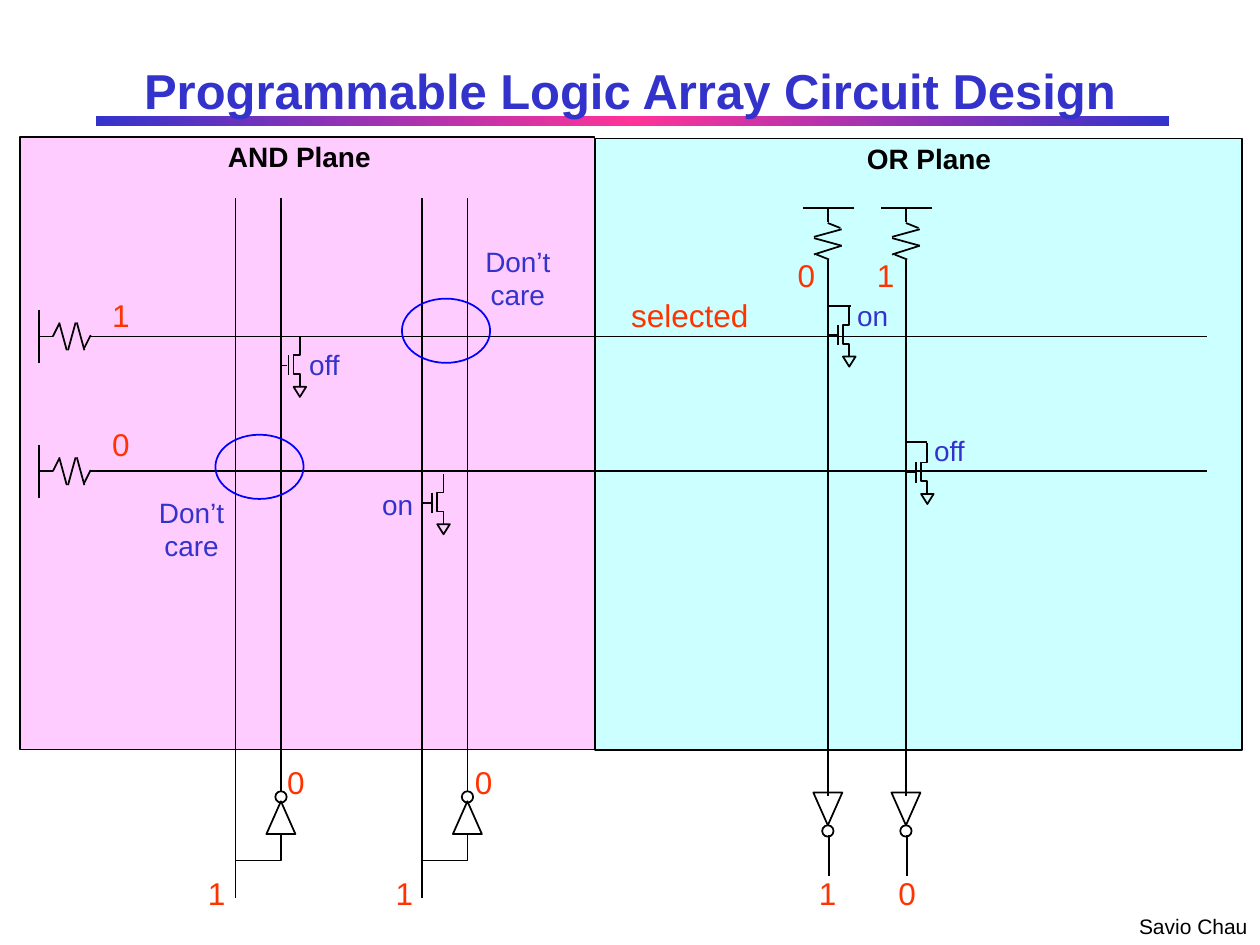
"""Build the programmable logic array circuit slide."""
import copy
import itertools

import lxml.etree
import pptx
import pptx.dml.color
import pptx.enum.shapes
import pptx.enum.text
import pptx.oxml.ns
import pptx.util

Inches = pptx.util.Inches
SHAPE = pptx.enum.shapes.MSO_SHAPE
ALIGN = pptx.enum.text.PP_ALIGN
ANCHOR = pptx.enum.text.MSO_ANCHOR

THEME = {
    "font": "Arial", "ink": "000000", "blue": "3333CC", "pink": "FF3399",
    "red": "FF3300", "ring": "0000FF", "and": "FFCCFF", "or": "CCFFFF",
    "line": 1, "title": 28, "value": 18, "label": 16, "credit": 12,
}
STYLES = {
    "title": {"size": "title", "color": "blue", "bold": True, "align": ALIGN.CENTER},
    "plane": {"size": "label", "color": "ink", "bold": True, "align": ALIGN.LEFT},
    "value": {"size": "value", "color": "red", "bold": False, "align": ALIGN.LEFT},
    "state": {"size": "label", "color": "blue", "bold": False, "align": ALIGN.CENTER},
    "credit": {"size": "credit", "color": "ink", "bold": False, "align": ALIGN.LEFT},
}
SLACK = 0.1

PLANES = [("and", (0.16, 1.09, 4.56, 4.86)), ("or", (4.72, 1.1, 5.14, 4.85))]
ROWS = [2.67, 3.74]
INPUTS = [1.87, 3.35]
OUTPUTS = [6.57, 7.19]
TRANSISTORS = [(2.22, 2.67), (3.36, 3.76), (6.58, 2.43), (7.2, 3.52)]
DRAINS = [(6.58, 6.75, 2.43), (7.19, 7.36, 3.51)]
RINGS = [(3.19, 2.37, 0.7, 0.51), (1.71, 3.45, 0.7, 0.51)]
ROW_RESISTOR = [
    (0, -0.21, 0, 0.21), (0, 0, 0.11, 0), (0.11, 0, 0.16, -0.1),
    (0.16, -0.11, 0.22, 0.11), (0.29, -0.11, 0.23, 0.11),
    (0.3, -0.11, 0.36, 0.11), (0.36, 0.09, 0.41, -0.01), (0.41, 0, 9.27, 0),
]
OUTPUT_RESISTOR = [
    (0.21, 0, -0.2, 0), (0, 0, 0, 0.11), (0, 0.12, 0.1, 0.16),
    (0.11, 0.17, -0.11, 0.23), (0.11, 0.3, -0.11, 0.24),
    (0.11, 0.3, -0.11, 0.37), (-0.09, 0.37, 0.01, 0.41),
]
CHANNEL = [(0.16, 0), (0.16, 0.15), (0.11, 0.15), (0.11, 0.3), (0.16, 0.3), (0.16, 0.4)]
INVERTER_FEED = [(0.36, 6.62), (0.36, 6.83), (0, 6.83)]
LABELS = [
    ("credit", "Savio Chau", (9.04, 7.25, 0.86, 0.2)),
    ("plane", "OR Plane", (6.88, 1.12, 0.99, 0.27)),
    ("plane", "AND Plane", (1.81, 1.11, 1.13, 0.27)),
    ("state", "Don’t\ncare", (3.85, 1.94, 0.52, 0.53)),
    ("state", "Don’t\ncare", (1.26, 3.93, 0.52, 0.53)),
    ("state", "on", (3.03, 3.87, 0.25, 0.27)),
    ("state", "off", (2.45, 2.76, 0.25, 0.27)),
    ("state", "on", (6.8, 2.37, 0.25, 0.27)),
    ("state", "off", (7.41, 3.44, 0.25, 0.27)),
    ("value", "selected", (5.01, 2.35, 0.93, 0.3)),
]
VALUES = [
    ("1", 1.65, 6.94), ("1", 3.14, 6.94), ("0", 2.28, 6.06), ("0", 3.77, 6.06),
    ("1", 0.89, 2.35), ("0", 0.89, 3.37), ("0", 6.33, 2.03), ("1", 6.96, 2.03),
    ("1", 6.5, 6.94), ("0", 7.13, 6.94),
]


def color(name):
    return pptx.dml.color.RGBColor.from_string(THEME[name])


def assign(target, values):
    for name, value in values.items():
        setattr(target, name, value)


def outline(shape, name="ink"):
    shape.line.color.rgb = color(name)
    shape.line.width = pptx.util.Pt(THEME["line"])


def add_lines(shapes, segments, x=0, y=0):
    for x1, y1, x2, y2 in segments:
        ends = [Inches(v) for v in (x + x1, y + y1, x + x2, y + y2)]
        wire = shapes.add_connector(pptx.enum.shapes.MSO_CONNECTOR.STRAIGHT, *ends)
        outline(wire)
        lxml.etree.SubElement(wire.element.spPr, pptx.oxml.ns.qn("a:effectLst"))


def add_shape(shapes, kind, place, fill=None, line="ink", turn=0):
    shape = shapes.add_shape(kind, *map(Inches, place))
    assign(shape, {"rotation": turn})
    shape.shadow.inherit = False
    if fill:
        shape.fill.solid()
        shape.fill.fore_color.rgb = color(fill)
    else:
        shape.fill.background()
    outline(shape, line)
    return shape


def add_path(shapes, points, x, y):
    corners = [(Inches(x + dx), Inches(y + dy)) for dx, dy in points]
    builder = shapes.build_freeform(*corners[0])
    builder.add_line_segments(corners[1:], close=False)
    path = builder.convert_to_shape()
    path.shadow.inherit = False
    path.fill.background()
    outline(path)


def add_text(page, style, text, place, anchor=ANCHOR.TOP):
    look = STYLES[style]
    left, top, width, height = place
    if look["align"] == ALIGN.CENTER:
        left -= SLACK / 2
    box = page.shapes.add_textbox(*map(Inches, (left, top, width + SLACK, height)))
    assign(box.text_frame, {
        "word_wrap": True, "vertical_anchor": anchor,
        "margin_left": 0, "margin_right": 0, "margin_top": 0, "margin_bottom": 0,
    })
    box.text_frame.text = text
    for para in box.text_frame.paragraphs:
        para.alignment = look["align"]
        for span in para.runs:
            assign(span.font, {"name": THEME["font"], "bold": look["bold"],
                               "size": pptx.util.Pt(THEME[look["size"]])})
            span.font.color.rgb = color(look["color"])


def add_title_bar(page):
    bar = add_shape(page.shapes, SHAPE.RECTANGLE, (0.76, 0.92, 8.52, 0.08))
    bar.line.fill.background()
    bar.fill.gradient()
    bar.fill.gradient_angle = 0
    first = bar.element.xpath(".//a:gs")[0]
    first.addnext(copy.deepcopy(first))
    for stop, (position, name) in zip(
            bar.fill.gradient_stops, [(0, "blue"), (0.5, "pink"), (1, "blue")]):
        stop.position = position
        stop.color.rgb = color(name)


def add_transistor(shapes, x, y):
    add_path(shapes, CHANNEL, x, y)
    add_lines(shapes, [(0.07, 0.15, 0.07, 0.31), (0, 0.23, 0.06, 0.23)], x, y)
    add_shape(shapes, SHAPE.ISOSCELES_TRIANGLE, (x + 0.11, y + 0.4, 0.1, 0.08), turn=180)


def add_inverter(shapes, x, triangle_y, circle_y, turn=0):
    add_shape(shapes, SHAPE.ISOSCELES_TRIANGLE,
              (x - 0.23 / 2, triangle_y, 0.23, 0.26), turn=turn)
    add_shape(shapes, SHAPE.OVAL, (x - 0.09 / 2, circle_y, 0.09, 0.09))


def add_input(shapes, x):
    add_lines(shapes, [(0.36, 1.57, 0.36, 6.28), (0, 1.57, 0, 7.13)], x)
    add_inverter(shapes, x + 0.36, 6.36, 6.28)
    add_path(shapes, INVERTER_FEED, x, 0)


def add_output(shapes, x):
    add_lines(shapes, [(0, 2.06, 0, 6.32), (0.01, 6.63, 0.01, 6.95)], x)
    add_lines(shapes, OUTPUT_RESISTOR, x, 1.65)
    add_inverter(shapes, x, 6.29, 6.55, turn=180)


def main():
    deck = pptx.Presentation()
    assign(deck, {"slide_width": Inches(10), "slide_height": Inches(7.5)})
    page = deck.slides.add_slide(deck.slide_layouts[6])
    add_title_bar(page)
    add_text(page, "title", "Programmable Logic Array Circuit Design",
             (0.75, 0.42, 8.5, 0.58), ANCHOR.MIDDLE)
    for fill, place in PLANES:
        add_shape(page.shapes, SHAPE.RECTANGLE, place, fill)
    for y in ROWS:
        add_lines(page.shapes.add_group_shape().shapes, ROW_RESISTOR, 0.31, y)
    parts = itertools.chain(
        ((add_transistor, place) for place in TRANSISTORS),
        ((add_input, (x,)) for x in INPUTS),
        ((add_output, (x,)) for x in OUTPUTS))
    for draw, place in parts:
        draw(page.shapes.add_group_shape().shapes, *place)
    add_lines(page.shapes, [(right, y, left, y) for left, right, y in DRAINS])
    for place in RINGS:
        add_shape(page.shapes, SHAPE.OVAL, place, line="ring")
    for text, x, y in VALUES:
        add_text(page, "value", text, (x, y, 0.14, 0.3))
    for style, text, place in LABELS:
        add_text(page, style, text, place)
    deck.save("out.pptx")


if __name__ == "__main__":
    main()
